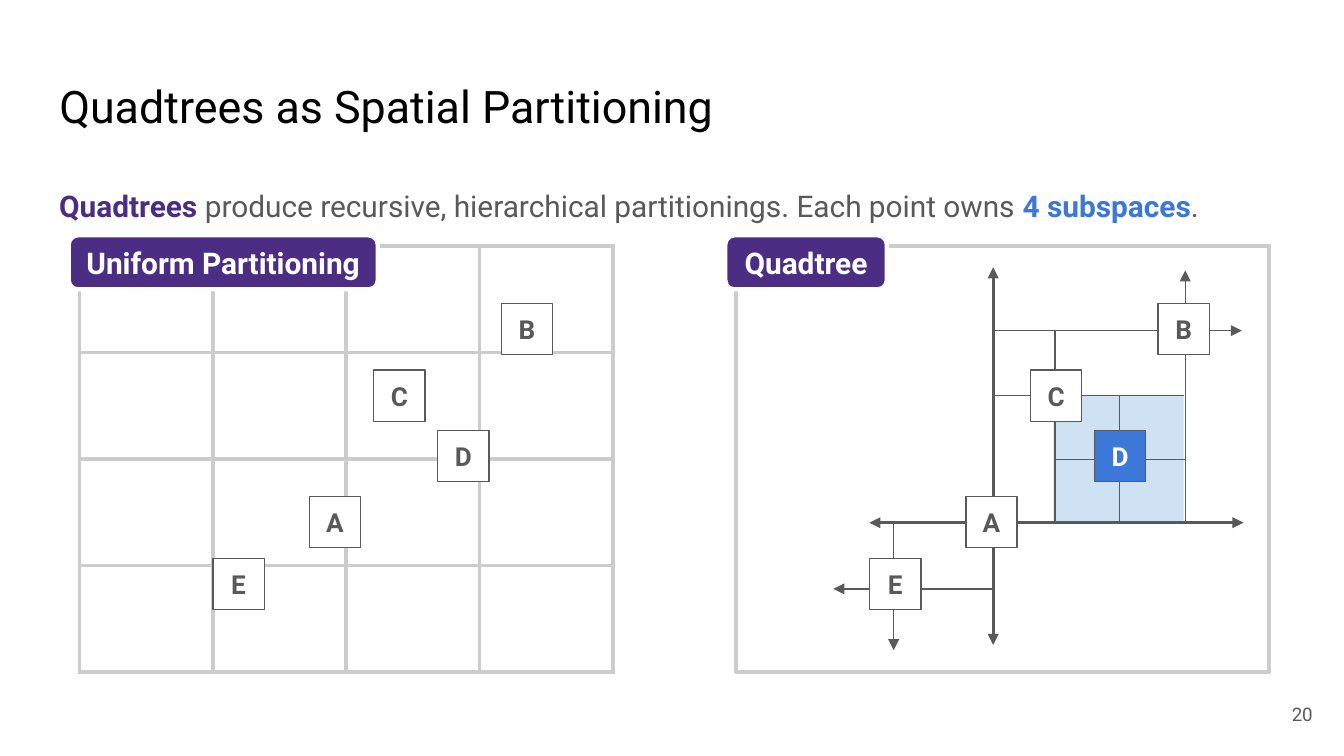
from lxml.etree import SubElement
from pptx import Presentation
from pptx.dml.color import RGBColor
from pptx.enum.shapes import MSO_CONNECTOR as Connector, MSO_SHAPE as Shape
from pptx.enum.text import MSO_ANCHOR as Anchor, MSO_AUTO_SIZE as AutoSize, PP_ALIGN as Align
from pptx.oxml.ns import qn
from pptx.util import Cm, Pt

FONT = "Roboto"
COLORS = {
    "black": "000000", "white": "FFFFFF", "gray": "595959", "grid": "CCCCCC",
    "purple": "4B2E83", "blue": "3C78D8", "pale": "CFE2F3",
}

# All lengths are in centimetres.
TITLE = "Quadtrees as Spatial Partitioning"
SUMMARY = [
    ("Quadtrees", "purple", True),
    (" produce recursive, hierarchical partitionings. Each point owns ", "gray", False),
    ("4 subspaces", "blue", True),
    (".", "gray", False),
]
PAGE_NUMBER = "20"
PANEL_LEFT, PANEL_TOP, PANEL_WIDTH, PANEL_HEIGHT = 1.5, 4.65, 10.08, 8.05
PANEL_STEP = 12.41
GRID_SIZE = 4
LABELS = [("Uniform Partitioning", 5.84), ("Quadtree", 3.05)]
LABEL_HEIGHT = 1.02
LABEL_OFFSET = 0.2

POINT_SIZE = 0.97
POINTS = {  # centres in the uniform panel
    "A": (6.33, 9.87), "B": (9.96, 6.22), "C": (7.55, 7.48),
    "D": (8.76, 8.62), "E": (4.51, 11.04),
}
SUBSPACE = (19.91, 7.49, 2.46, 2.39)
SPLITS = [  # start, end, width in points, arrow ends
    ((18.77, 5.05), (18.77, 12.19), 1.5, ("headEnd", "tailEnd")),
    ((16.43, 9.88), (23.5, 9.88), 1.5, ("headEnd", "tailEnd")),
    ((18.8, 6.25), (23.47, 6.25), 0.75, ("tailEnd",)),
    ((22.4, 9.86), (22.4, 5.11), 0.75, ("tailEnd",)),
    ((18.8, 7.47), (22.38, 7.47), 0.75, ()),
    ((19.94, 6.25), (19.94, 9.9), 0.75, ()),
    ((19.94, 8.69), (22.4, 8.69), 0.75, ()),
    ((21.16, 9.88), (21.16, 7.49), 0.75, ()),
    ((18.77, 11.13), (15.75, 11.13), 0.75, ("tailEnd",)),
    ((16.89, 9.91), (16.89, 12.29), 0.75, ("tailEnd",)),
]


def rgb(name):
    return RGBColor.from_string(COLORS[name])


def write(shape, runs, size, align=Align.LEFT, anchor=Anchor.TOP, wrap=True):
    """Fill a shape with one paragraph of (text, color, bold) runs."""
    frame = shape.text_frame
    frame.auto_size = AutoSize.NONE
    frame.word_wrap = wrap
    frame.vertical_anchor = anchor
    frame.margin_left = frame.margin_right = Cm(0.25)
    frame.margin_top = frame.margin_bottom = Cm(0.25)
    para = frame.paragraphs[0]
    para.alignment = align
    for text, color, bold in runs:
        span = para.add_run()
        span.text = text
        span.font.name = FONT
        span.font.size = Pt(size)
        span.font.bold = bold
        span.font.color.rgb = rgb(color)
    return para


def add_box(page, place, fill, line=None, width=0.75, kind=Shape.RECTANGLE):
    box = page.shapes.add_shape(kind, *map(Cm, place))
    box.shadow.inherit = False
    box.fill.solid()
    box.fill.fore_color.rgb = rgb(fill)
    if line:
        box.line.color.rgb = rgb(line)
        box.line.width = Pt(width)
    else:
        box.line.fill.background()
    return box


def add_split(page, start, end, width, arrows):
    split = page.shapes.add_connector(Connector.STRAIGHT, *map(Cm, start + end))
    split.line.color.rgb = rgb("gray")
    split.line.width = Pt(width)
    for arrow in arrows:
        SubElement(split.line._get_or_add_ln(), qn(f"a:{arrow}"), type="triangle")
    SubElement(split._element.spPr, qn("a:effectLst"))


def add_point(page, name, x, y, fill="white", color="gray"):
    place = (x - POINT_SIZE / 2, y - POINT_SIZE / 2, POINT_SIZE, POINT_SIZE)
    box = add_box(page, place, fill, "gray")
    write(box, [(name, color, True)], 14, Align.CENTER, Anchor.MIDDLE, wrap=False)


def add_grid(page):
    place = (PANEL_LEFT, PANEL_TOP, PANEL_WIDTH, PANEL_HEIGHT)
    table = page.shapes.add_table(GRID_SIZE, GRID_SIZE, *map(Cm, place)).table
    table.first_row = table.horz_banding = False
    for cell in table.iter_cells():
        properties = cell._tc.get_or_add_tcPr()
        for side in ("lnL", "lnR", "lnT", "lnB"):
            border = SubElement(properties, qn(f"a:{side}"), w=str(Pt(2.25)))
            fill = SubElement(border, qn("a:solidFill"))
            SubElement(fill, qn("a:srgbClr"), val=COLORS["grid"])
        cell.fill.solid()
        cell.fill.fore_color.rgb = rgb("white")


def add_text(page, place, runs, size, **style):
    return write(page.shapes.add_textbox(*map(Cm, place)), runs, size, **style)


def main():
    deck = Presentation()
    deck.slide_width, deck.slide_height = Cm(25.4), Cm(14.29)
    page = deck.slides.add_slide(deck.slide_layouts[5])

    add_grid(page)
    title = page.shapes.title
    title.left, title.top, title.width, title.height = map(Cm, (0.87, 1.24, 23.67, 1.6))
    write(title, [(TITLE, "black", False)], 24)
    summary = add_text(page, (0.87, 3.2, 23.67, 1.14), SUMMARY, 16)
    summary.line_spacing = 1.15
    summary.space_after = Pt(8)
    add_text(page, (23.54, 12.95, 1.52, 1.09), [(PAGE_NUMBER, "gray", False)], 10,
             align=Align.RIGHT, anchor=Anchor.MIDDLE)

    tree_panel = (PANEL_LEFT + PANEL_STEP, PANEL_TOP, PANEL_WIDTH, PANEL_HEIGHT)
    add_box(page, tree_panel, "white", "grid", 2.25)
    add_box(page, SUBSPACE, "pale")
    for split in SPLITS:
        add_split(page, *split)

    for name, (x, y) in POINTS.items():
        add_point(page, name, x, y)
        highlight = ("blue", "white") if name == "D" else ()
        add_point(page, name, x + PANEL_STEP, y, *highlight)

    for index, (text, width) in enumerate(LABELS):
        left = PANEL_LEFT + index * PANEL_STEP - LABEL_OFFSET
        place = (left, PANEL_TOP - LABEL_OFFSET, width, LABEL_HEIGHT)
        label = add_box(page, place, "purple", "white", 2.25, Shape.ROUNDED_RECTANGLE)
        write(label, [(text, "white", True)], 16, Align.CENTER, Anchor.MIDDLE, wrap=False)

    deck.save("out.pptx")


if __name__ == "__main__":
    main()
